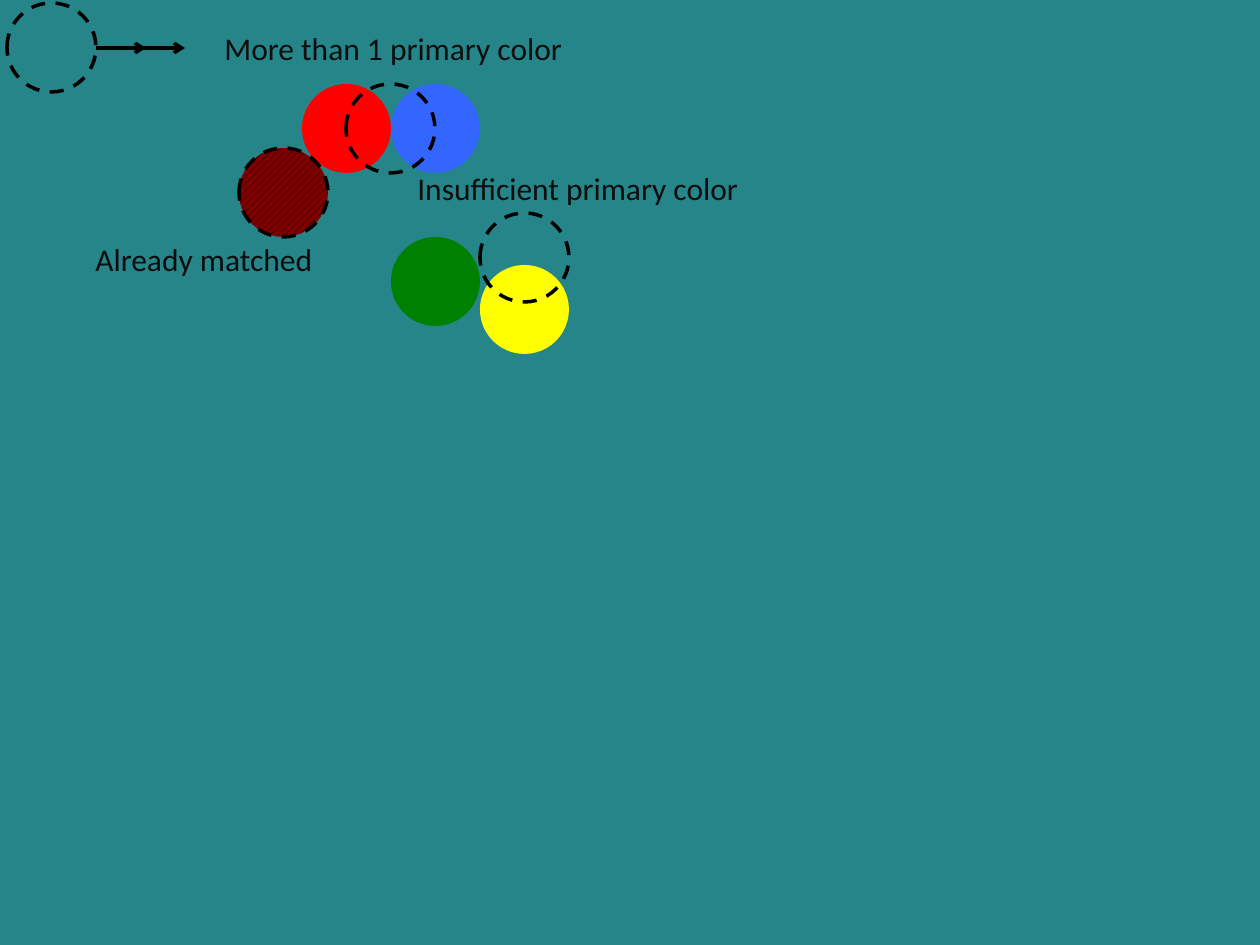
"""Build the colour-matching circles slide."""
from dataclasses import dataclass
from typing import Optional

import pptx
import pptx.dml.color
import pptx.enum.dml
import pptx.enum.shapes
import pptx.enum.text
import pptx.oxml.ns
import pptx.util
from lxml import etree

RGBColor = pptx.dml.color.RGBColor
TEAL = RGBColor(0x25, 0x85, 0x89)
RED = RGBColor(0xFF, 0x00, 0x00)
BLUE = RGBColor(0x33, 0x66, 0xFF)
GREEN = RGBColor(0x00, 0x80, 0x00)
YELLOW = RGBColor(0xFF, 0xFF, 0x00)
MAROON = RGBColor(0x80, 0x00, 0x00)
BLACK = RGBColor(0x00, 0x00, 0x00)
INK = RGBColor(0x0D, 0x0D, 0x0D)

EMU_PER_PX = 914400 // 126
DIAMETER = 89
LINE_WIDTH = pptx.util.Pt(2)


@dataclass(frozen=True)
class Circle:
    left: int
    top: int
    fill: Optional[RGBColor] = None
    dashed: bool = False
    hatched: bool = False


@dataclass(frozen=True)
class Label:
    text: str
    left: int
    top: int
    width: int


CIRCLES = [
    Circle(302, 84, RED),
    Circle(391, 84, BLUE),
    Circle(7, 3, dashed=True),
    Circle(346, 84, dashed=True),
    Circle(391, 237, GREEN),
    Circle(480, 265, YELLOW),
    Circle(239, 148, MAROON, dashed=True, hatched=True),
    Circle(480, 213, dashed=True),
]
LABELS = [
    Label("More than 1 primary color", 212, 23, 407),
    Label("Insufficient primary color", 405, 163, 352),
    Label("Already matched", 83, 234, 352),
]
ARROW_LEFT, ARROW_Y = 96, 48
ARROW_ENDS = [185, 146]


def px(n: int) -> pptx.util.Emu:
    return pptx.util.Emu(n * EMU_PER_PX)


def add_circle(slide, circle: Circle) -> None:
    sp = slide.shapes.add_shape(
        pptx.enum.shapes.MSO_SHAPE.OVAL,
        px(circle.left), px(circle.top), px(DIAMETER), px(DIAMETER))
    sp.shadow.inherit = False
    if circle.hatched:
        sp.fill.patterned()
        sp.fill.pattern = pptx.enum.dml.MSO_PATTERN.WIDE_UPWARD_DIAGONAL
        sp.fill.fore_color.rgb = BLACK
        sp.fill.back_color.rgb = circle.fill
    elif circle.fill is not None:
        sp.fill.solid()
        sp.fill.fore_color.rgb = circle.fill
    else:
        sp.fill.background()
    if circle.dashed:
        sp.line.color.rgb = BLACK
        sp.line.width = LINE_WIDTH
        sp.line.dash_style = pptx.enum.dml.MSO_LINE.DASH
    else:
        sp.line.fill.background()


def add_arrow(slide, x1: int, x2: int, y: int) -> None:
    cxn = slide.shapes.add_connector(
        pptx.enum.shapes.MSO_CONNECTOR.STRAIGHT, px(x1), px(y), px(x2), px(y))
    cxn.line.color.rgb = BLACK
    cxn.line.width = LINE_WIDTH
    qn = pptx.oxml.ns.qn
    etree.SubElement(cxn.line._get_or_add_ln(), qn("a:tailEnd"), type="arrow")
    etree.SubElement(cxn._element.spPr, qn("a:effectLst"))


def add_text(slide, text: str, *, left: int, top: int, width: int,
             height: int = 50, size: int = 18, font: str = "Calibri",
             color: RGBColor = INK) -> None:
    sp = slide.shapes.add_textbox(px(left), px(top), px(width), px(height))
    tf = sp.text_frame
    tf.word_wrap = True
    tf.auto_size = pptx.enum.text.MSO_AUTO_SIZE.SHAPE_TO_FIT_TEXT
    p = tf.paragraphs[0]
    r = p.add_run()
    r.text = text
    r.font.size = pptx.util.Pt(size)
    r.font.name = font
    r.font.color.rgb = color


def main() -> None:
    prs = pptx.Presentation()
    prs.slide_width = pptx.util.Inches(10)
    prs.slide_height = pptx.util.Inches(7.5)
    s = prs.slides.add_slide(prs.slide_layouts[6])
    s.background.fill.solid()
    s.background.fill.fore_color.rgb = TEAL
    for circle in CIRCLES:
        add_circle(s, circle)
    for end in ARROW_ENDS:
        add_arrow(s, ARROW_LEFT, end, ARROW_Y)
    for label in LABELS:
        add_text(s, label.text, left=label.left, top=label.top, width=label.width)
    prs.save("out.pptx")


main()
